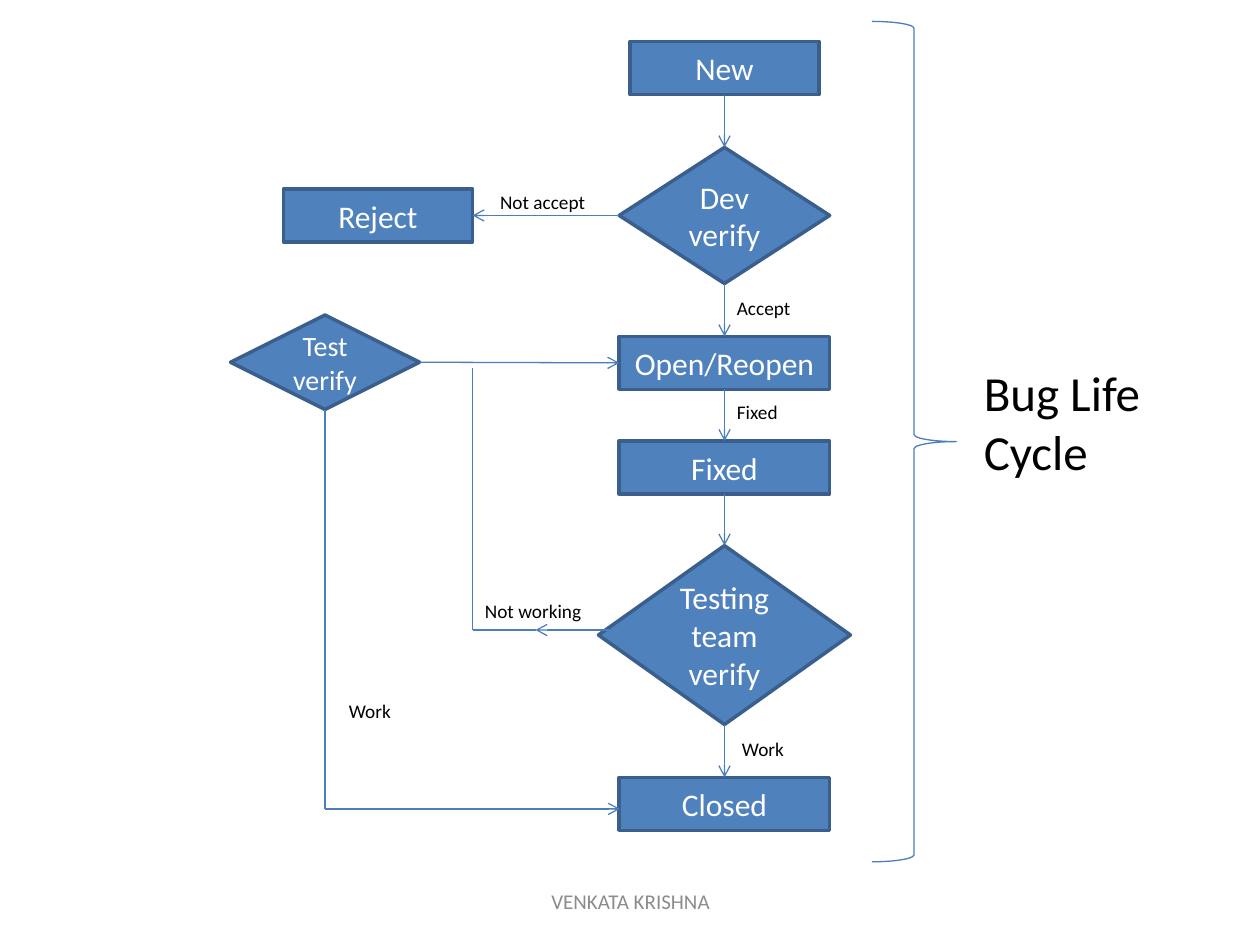
import pptx
import pptx.util
import pptx.dml.color
import pptx.enum.shapes
import pptx.enum.text
import pptx.oxml
import pptx.oxml.ns

Inches, Pt = pptx.util.Inches, pptx.util.Pt
RGBColor = pptx.dml.color.RGBColor
MSO_SHAPE = pptx.enum.shapes.MSO_SHAPE
ALIGN = pptx.enum.text.PP_ALIGN
ANCHOR = pptx.enum.text.MSO_ANCHOR

BLUE = RGBColor(0x4F, 0x81, 0xBD)
EDGE = RGBColor(0x3A, 0x5F, 0x8C)
LINE = RGBColor(0x4B, 0x7E, 0xBC)
WHITE = RGBColor(0xFF, 0xFF, 0xFF)
BLACK = RGBColor(0, 0, 0)
GRAY = RGBColor(0x8C, 0x8C, 0x8C)

deck = pptx.Presentation()
deck.slide_width, deck.slide_height = Inches(10), Inches(7.5)
slide = deck.slides.add_slide(deck.slide_layouts[6])


def write(shape, text, size, color, align=ALIGN.LEFT, wrap=True):
    frame = shape.text_frame
    frame.text = text
    frame.word_wrap = wrap
    for para in frame.paragraphs:
        para.alignment = align
        para.font.name = "Calibri"
        para.font.size = Pt(size)
        para.font.color.rgb = color


def draw(x1, y1, x2, y2, arrow=True):
    line = slide.shapes.add_connector(
        pptx.enum.shapes.MSO_CONNECTOR.STRAIGHT,
        Inches(x1), Inches(y1), Inches(x2), Inches(y2))
    line.line.color.rgb = LINE
    line.line.width = Pt(0.75)
    if arrow:
        tail = pptx.oxml.parse_xml(
            "<a:tailEnd %s type='arrow'/>" % pptx.oxml.ns.nsdecls("a"))
        line.line._get_or_add_ln().append(tail)
    line._element.spPr.append(pptx.oxml.parse_xml(
        "<a:effectLst %s/>" % pptx.oxml.ns.nsdecls("a")))
    return line


# Footer
foot = slide.shapes.add_textbox(
    Inches(3.42), Inches(6.95), Inches(3.17), Inches(0.4))
write(foot, "VENKATA KRISHNA", 12, GRAY, ALIGN.CENTER)
foot.text_frame.vertical_anchor = ANCHOR.MIDDLE

# States and checks: kind, centre x, top, width, height, text size
RECT, GEM = MSO_SHAPE.RECTANGLE, MSO_SHAPE.DIAMOND
MID = 5.75
states = [
    ("New", RECT, MID, 0.33, 1.5, 0.42, 18),
    ("Dev verify", GEM, MID, 1.17, 1.67, 1.08, 18),
    ("Open/Reopen", RECT, MID, 2.67, 1.67, 0.42, 18),
    ("Fixed", RECT, MID, 3.5, 1.67, 0.42, 18),
    ("Testing team verify", GEM, MID, 4.33, 2, 1.42, 18),
    ("Closed", RECT, MID, 6.17, 1.67, 0.42, 18),
    ("Reject", RECT, 3, 1.5, 1.5, 0.42, 18),
    ("Test verify", GEM, 2.58, 2.5, 1.5, 0.75, 16),
]
nodes = {}
for name, kind, mid, top, wide, high, size in states:
    node = slide.shapes.add_shape(
        kind, Inches(mid - wide / 2), Inches(top), Inches(wide), Inches(high))
    node.shadow.inherit = False
    node.fill.solid()
    node.fill.fore_color.rgb = BLUE
    node.line.color.rgb = EDGE
    node.line.width = Pt(2)
    write(node, name, size, WHITE, ALIGN.CENTER)
    node.text_frame.vertical_anchor = ANCHOR.MIDDLE
    nodes[name] = node

# Arrows glued to the states
TOP, LEFT, BASE, RIGHT = range(4)
main = [state[0] for state in states[:6]]
links = [(a, BASE, b, TOP) for a, b in zip(main, main[1:])]
links += [("Dev verify", LEFT, "Reject", RIGHT),
          ("Test verify", RIGHT, "Open/Reopen", LEFT)]
for start, out, end, into in links:
    link = draw(0, 0, 1, 1)
    link.begin_connect(nodes[start], out)
    link.end_connect(nodes[end], into)

# Path from the retest to Closed
draw(2.58, 3.25, 2.58, 6.42, arrow=False)
draw(2.58, 6.42, 4.92, 6.42)

# Path back from the testing team
draw(4.83, 5, 4.25, 5)
draw(3.75, 2.92, 3.75, 5, arrow=False)
draw(4.25, 5, 3.75, 5, arrow=False)

# Path labels
for text, left, top, wide in [
    ("Not accept", 3.87, 1.46, 0.88),
    ("Accept", MID, 2.3, 0.63),
    ("Fixed", MID, 3.13, 0.57),
    ("Not working", 3.75, 4.71, 0.97),
    ("Work", 2.67, 5.5, 0.54),
    ("Work", 5.79, 5.8, 0.54),
]:
    label = slide.shapes.add_textbox(
        Inches(left), Inches(top), Inches(wide), Inches(0.29))
    write(label, text, 11, BLACK, wrap=False)

# Brace and title
brace = slide.shapes.add_shape(
    MSO_SHAPE.RIGHT_BRACE, Inches(6.92), Inches(0.17), Inches(0.67), Inches(6.67))
brace.shadow.inherit = False
brace.fill.background()
brace.line.color.rgb = LINE
brace.line.width = Pt(0.75)

title = slide.shapes.add_textbox(
    Inches(7.71), Inches(2.83), Inches(1.71), Inches(1.04))
write(title, "Bug Life\nCycle", 28, BLACK)

deck.save("out.pptx")
